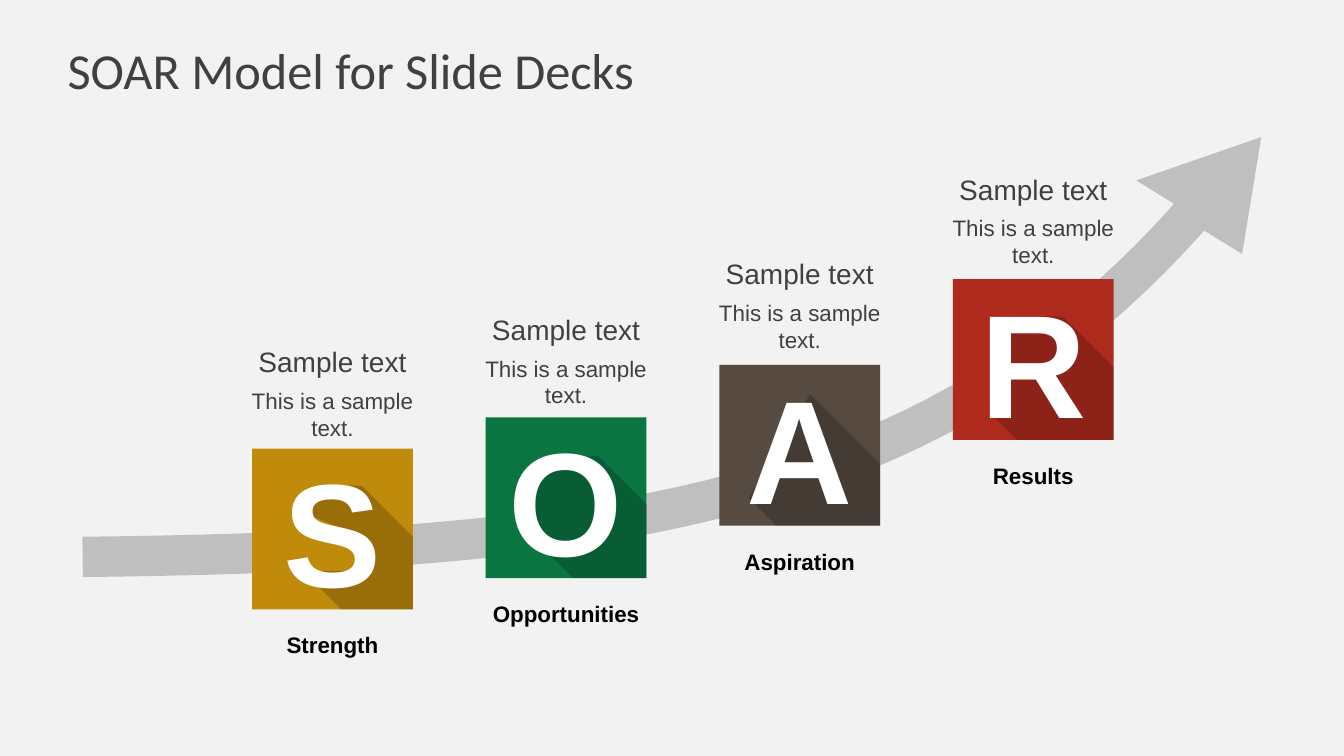
from dataclasses import dataclass
from math import hypot
from typing import Any, NamedTuple

from lxml import etree
from pptx import Presentation
from pptx import util as u
from pptx.dml.color import RGBColor
from pptx.enum import shapes, text
from pptx.oxml import ns

# Grid: every length is a number of these fine columns and rows
COLUMNS, ROWS = 1333, 750
SLIDE_WIDTH, SLIDE_HEIGHT = u.Inches(13.33), u.Inches(7.5)
COLUMN, ROW = SLIDE_WIDTH / COLUMNS, SLIDE_HEIGHT / ROWS
TILE_SIDE = 159.5
FIRST_TILE_LEFT, TILE_PITCH = 250, 231.7
HEADING_WIDTH, NAME_WIDTH = 205, 167
NAME_DROP, BODY_DROP = 176.5, 42


class Point(NamedTuple):
    x: float
    y: float


@dataclass(frozen=True)
class Theme:
    background: str = "F2F2F2"
    ink: str = "404040"
    label: str = "000000"
    arrow: str = "BFBFBF"
    letter: str = "FFFFFF"
    shade: str = "000000"
    shade_opacity: int = 20
    title_font: str = "Calibri"
    body_font: str = "Arial"
    title_size: int = 36
    heading_size: int = 20
    body_size: int = 16
    letter_size: int = 105


@dataclass(frozen=True)
class Box:
    left: float
    top: float
    width: float
    height: float

    def lengths(self) -> list[int]:
        return [round(self.left * COLUMN), round(self.top * ROW),
                round(self.width * COLUMN), round(self.height * ROW)]


@dataclass(frozen=True)
class Step:
    """The long shade falls from foot and shoulder; its back hides under the strokes."""
    name: str
    color: str
    tile_top: float
    heading_top: float
    foot: Point
    back: tuple[Point, ...]
    shoulder: Point


@dataclass(frozen=True)
class Arrow:
    """A shaft of even thickness along one cubic curve, and a head at its end."""
    controls: tuple[Point, Point, Point, Point]
    thickness: float
    left_barb: Point
    tip: Point
    right_barb: Point
    samples: int = 40


THEME = Theme()

ARROW = Arrow((Point(82, 552.5), Point(602, 547), Point(925, 502), Point(1179.5, 215.5)),
              40, Point(1127, 179), Point(1251, 136), Point(1232, 252))

STEPS = [
    Step("Strength", "C08A0A", 445, 337, Point(51, 122),
         (Point(107, 121), Point(109, 97), Point(86, 78), Point(56, 66),
          Point(57, 42), Point(79, 36)), Point(109, 37)),
    Step("Opportunities", "0B7542", 414, 305, Point(46, 119), (Point(46, 47),), Point(111, 38)),
    Step("Aspiration", "564A41", 362, 250, Point(29, 132), (), Point(90, 29)),
    Step("Results", "AF2B1E", 277, 166, Point(36, 132), (Point(46, 37),), Point(109, 37)),
]


def set_values(target: Any, values: dict[str, Any]) -> None:
    for name, value in values.items():
        setattr(target, name, value)


def paint(shape: Any, color: str, opacity: int = 100) -> None:
    shape.shadow.inherit = False
    shape.line.fill.background()
    shape.fill.solid()
    shape.fill.fore_color.rgb = RGBColor.from_string(color)
    if opacity < 100:
        color_element = shape.fill._xPr.find(".//" + ns.qn("a:srgbClr"))
        etree.SubElement(color_element, ns.qn("a:alpha"), val=str(opacity * 1000))


def add_polygon(parent: Any, corners: list[Point], color: str, opacity: int = 100) -> None:
    points = [(round(corner.x * COLUMN), round(corner.y * ROW)) for corner in corners]
    builder = parent.build_freeform(*points[0])
    builder.add_line_segments(points[1:], close=True)
    paint(builder.convert_to_shape(), color, opacity)


def add_text(parent: Any, box: Box, words: str, font: dict[str, Any],
             frame: dict[str, Any], color: str = THEME.ink,
             align: Any = text.PP_ALIGN.CENTER) -> None:
    shape = parent.add_textbox(*box.lengths())
    set_values(shape.text_frame, {"word_wrap": True, **frame})
    paragraph = shape.text_frame.paragraphs[0]
    paragraph.alignment = align
    run = paragraph.add_run()
    run.text = words
    set_values(run.font, font)
    run.font.color.rgb = RGBColor.from_string(color)


def blend(points: tuple[Point, ...], t: float) -> Point:
    """Point at share t of the curve, by repeated halfway steps between its controls."""
    while len(points) > 1:
        points = tuple(Point(a.x + t * (b.x - a.x), a.y + t * (b.y - a.y))
                       for a, b in zip(points, points[1:]))
    return points[0]


def add_arrow(slide: Any, arrow: Arrow) -> None:
    left_side, right_side = [], []
    for sample in range(arrow.samples + 1):
        t = sample / arrow.samples
        centre = blend(arrow.controls, t)
        before, after = blend(arrow.controls[:-1], t), blend(arrow.controls[1:], t)
        run, rise = after.x - before.x, after.y - before.y
        half = arrow.thickness / 2 / hypot(run, rise)
        left_side.append(Point(centre.x + rise * half, centre.y - run * half))
        right_side.append(Point(centre.x - rise * half, centre.y + run * half))
    head = [arrow.left_barb, arrow.tip, arrow.right_barb]
    add_polygon(slide.shapes, left_side + head + right_side[::-1], THEME.arrow)


def shade_corners(step: Step, left: float) -> list[Point]:
    """Both ends of the letter run down at 45 degrees to the tile's edges."""
    foot, shoulder = step.foot, step.shoulder
    corners = [foot, *step.back, shoulder,
               Point(TILE_SIDE, shoulder.y + TILE_SIDE - shoulder.x),
               Point(TILE_SIDE, TILE_SIDE),
               Point(foot.x + TILE_SIDE - foot.y, TILE_SIDE)]
    return [Point(left + corner.x, step.tile_top + corner.y) for corner in corners]


def add_step(slide: Any, step: Step, left: float) -> None:
    # Name below, heading and body above, all centred on the tile
    grow = {"auto_size": text.MSO_AUTO_SIZE.SHAPE_TO_FIT_TEXT}
    body = {"name": THEME.body_font, "size": u.Pt(THEME.body_size)}
    heading = {**body, "size": u.Pt(THEME.heading_size)}
    name_left = left + (TILE_SIDE - NAME_WIDTH) / 2
    heading_left = left + (TILE_SIDE - HEADING_WIDTH) / 2
    add_text(slide.shapes, Box(name_left, step.tile_top + NAME_DROP, NAME_WIDTH, 37),
             step.name, {**body, "bold": True}, grow, THEME.label)
    add_text(slide.shapes, Box(heading_left, step.heading_top + BODY_DROP, HEADING_WIDTH, 64),
             "This is a sample text.", body, grow)
    add_text(slide.shapes, Box(heading_left, step.heading_top, HEADING_WIDTH, 44),
             "Sample text", heading, grow)

    # Tile, long shade and the initial of the name
    group = slide.shapes.add_group_shape().shapes
    tile = Box(left, step.tile_top, TILE_SIDE, TILE_SIDE)
    paint(group.add_shape(shapes.MSO_SHAPE.RECTANGLE, *tile.lengths()), step.color)
    add_polygon(group, shade_corners(step, left), THEME.shade, THEME.shade_opacity)
    margins = {f"margin_{side}": 0 for side in ("left", "top", "right", "bottom")}
    add_text(group, tile, step.name[0],
             {**body, "size": u.Pt(THEME.letter_size), "bold": True},
             {**margins, "vertical_anchor": text.MSO_ANCHOR.MIDDLE}, THEME.letter)


def main() -> None:
    presentation = Presentation()
    set_values(presentation, {"slide_width": SLIDE_WIDTH, "slide_height": SLIDE_HEIGHT})
    slide = presentation.slides.add_slide(presentation.slide_layouts[6])
    slide.background.fill.solid()
    slide.background.fill.fore_color.rgb = RGBColor.from_string(THEME.background)

    # Title
    add_text(slide.shapes, Box(67, 30, 1200, 78), "SOAR Model for Slide Decks",
             {"name": THEME.title_font, "size": u.Pt(THEME.title_size)},
             {"margin_left": 0, "margin_right": 0,
              "vertical_anchor": text.MSO_ANCHOR.MIDDLE},
             align=text.PP_ALIGN.LEFT)

    # Rising arrow and the four steps on it
    add_arrow(slide, ARROW)
    for index, step in enumerate(STEPS):
        add_step(slide, step, FIRST_TILE_LEFT + index * TILE_PITCH)

    presentation.save("out.pptx")


if __name__ == "__main__":
    main()
